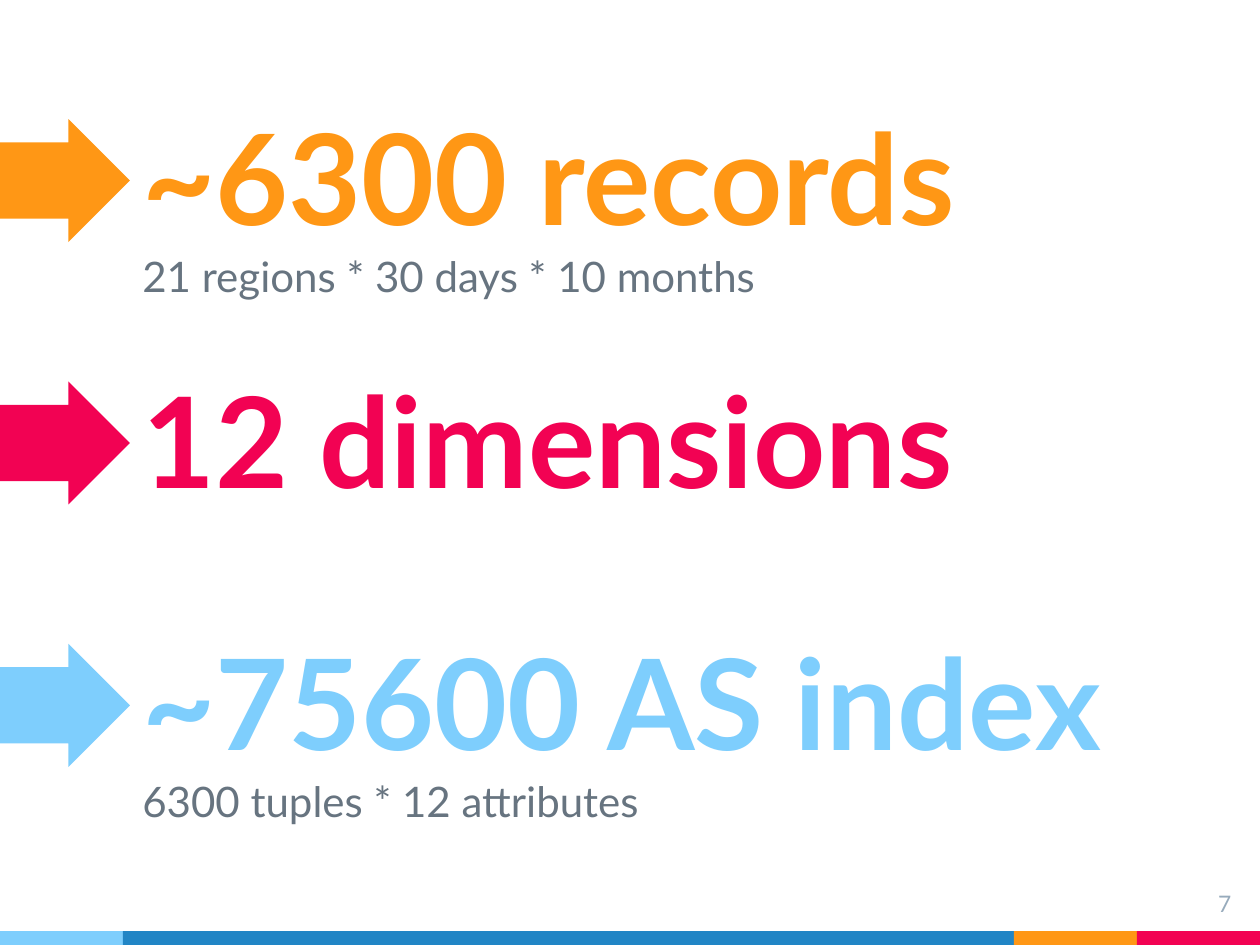
from dataclasses import dataclass

import pptx
import pptx.dml.color
import pptx.enum.shapes
import pptx.enum.text
import pptx.util
from pptx.util import Cm

COLORS = {
    "orange": "FF9715",
    "pink": "F20253",
    "sky": "7ECEFD",
    "blue": "2185C5",
    "gray": "677480",
    "page": "97ABBC",
}
FONT = "Lato"
SLIDE_WIDTH, SLIDE_HEIGHT = 25.4, 19.05
FIRST_TOP, FIGURE_STEP = 1.98, 5.29
TEXT_LEFT, TEXT_WIDTH = 2.62, 20.88
HEADLINE_HEIGHT, CAPTION_HEIGHT = 3.33, 1.73
CAPTION_OFFSET = 2.83
ARROW_OFFSET, ARROW_HEIGHT = 0.42, 2.48
STRIPE_HEIGHT = 0.28

SHAPES = pptx.enum.shapes.MSO_SHAPE
ANCHOR = pptx.enum.text.MSO_ANCHOR
ALIGN = pptx.enum.text.PP_ALIGN


@dataclass
class Box:
    left: float
    top: float
    width: float
    height: float

    def lengths(self) -> list:
        return [Cm(v) for v in (self.left, self.top, self.width, self.height)]


@dataclass
class TextStyle:
    size: int
    color: str
    bold: bool = False
    align: ALIGN = ALIGN.LEFT
    anchor: ANCHOR = ANCHOR.TOP


@dataclass
class KeyFigure:
    headline: str
    color: str
    caption: str = ""


@dataclass
class Stripe:
    color: str
    width: float


def rgb(color: str) -> pptx.dml.color.RGBColor:
    return pptx.dml.color.RGBColor.from_string(COLORS[color])


def add_filled(slide, kind: SHAPES, box: Box, color: str):
    shape = slide.shapes.add_shape(kind, *box.lengths())
    shape.shadow.inherit = False
    shape.fill.solid()
    shape.fill.fore_color.rgb = rgb(color)
    shape.line.fill.background()
    return shape


def add_text(slide, text: str, box: Box, style: TextStyle) -> None:
    frame = slide.shapes.add_textbox(*box.lengths()).text_frame
    frame.word_wrap = True
    frame.vertical_anchor = style.anchor
    frame.margin_left = frame.margin_right = Cm(0.25)
    frame.margin_top = frame.margin_bottom = Cm(0.25)
    frame.text = text
    paragraph = frame.paragraphs[0]
    paragraph.alignment = style.align
    font = paragraph.runs[0].font
    font.name = FONT
    font.size = pptx.util.Pt(style.size)
    font.bold = style.bold
    font.color.rgb = rgb(style.color)


def add_stripes(slide, stripes: list[Stripe]) -> None:
    left = 0.0
    for stripe in stripes:
        box = Box(left, SLIDE_HEIGHT - STRIPE_HEIGHT, stripe.width, STRIPE_HEIGHT)
        add_filled(slide, SHAPES.RECTANGLE, box, stripe.color)
        left += stripe.width


def add_key_figure(slide, figure: KeyFigure, top: float) -> None:
    add_text(
        slide,
        figure.headline,
        Box(TEXT_LEFT, top, TEXT_WIDTH, HEADLINE_HEIGHT),
        TextStyle(72, figure.color, bold=True, anchor=ANCHOR.BOTTOM),
    )
    if figure.caption:
        add_text(
            slide,
            figure.caption,
            Box(TEXT_LEFT, top + CAPTION_OFFSET, TEXT_WIDTH, CAPTION_HEIGHT),
            TextStyle(24, "gray"),
        )
    arrow_box = Box(0, top + ARROW_OFFSET, TEXT_LEFT, ARROW_HEIGHT)
    arrow = add_filled(slide, SHAPES.RIGHT_ARROW, arrow_box, figure.color)
    arrow.adjustments[0] = 0.62
    arrow.adjustments[1] = 0.5


def main() -> None:
    deck = pptx.Presentation()
    deck.slide_width, deck.slide_height = Cm(SLIDE_WIDTH), Cm(SLIDE_HEIGHT)
    slide = deck.slides.add_slide(deck.slide_layouts[6])

    add_stripes(slide, [
        Stripe("sky", 2.48),
        Stripe("blue", 17.96),
        Stripe("orange", 2.48),
        Stripe("pink", 2.48),
    ])
    figures = [
        KeyFigure("~6300 records", "orange", "21 regions * 30 days * 10 months"),
        KeyFigure("12 dimensions", "pink"),
        KeyFigure("~75600 AS index", "sky", "6300 tuples * 12 attributes"),
    ]
    for index, figure in enumerate(figures):
        add_key_figure(slide, figure, FIRST_TOP + index * FIGURE_STEP)
    add_text(
        slide,
        "7",
        Box(23.55, 17.68, 1.52, 1.17),
        TextStyle(13, "page", align=ALIGN.RIGHT),
    )
    deck.save("out.pptx")


if __name__ == "__main__":
    main()
